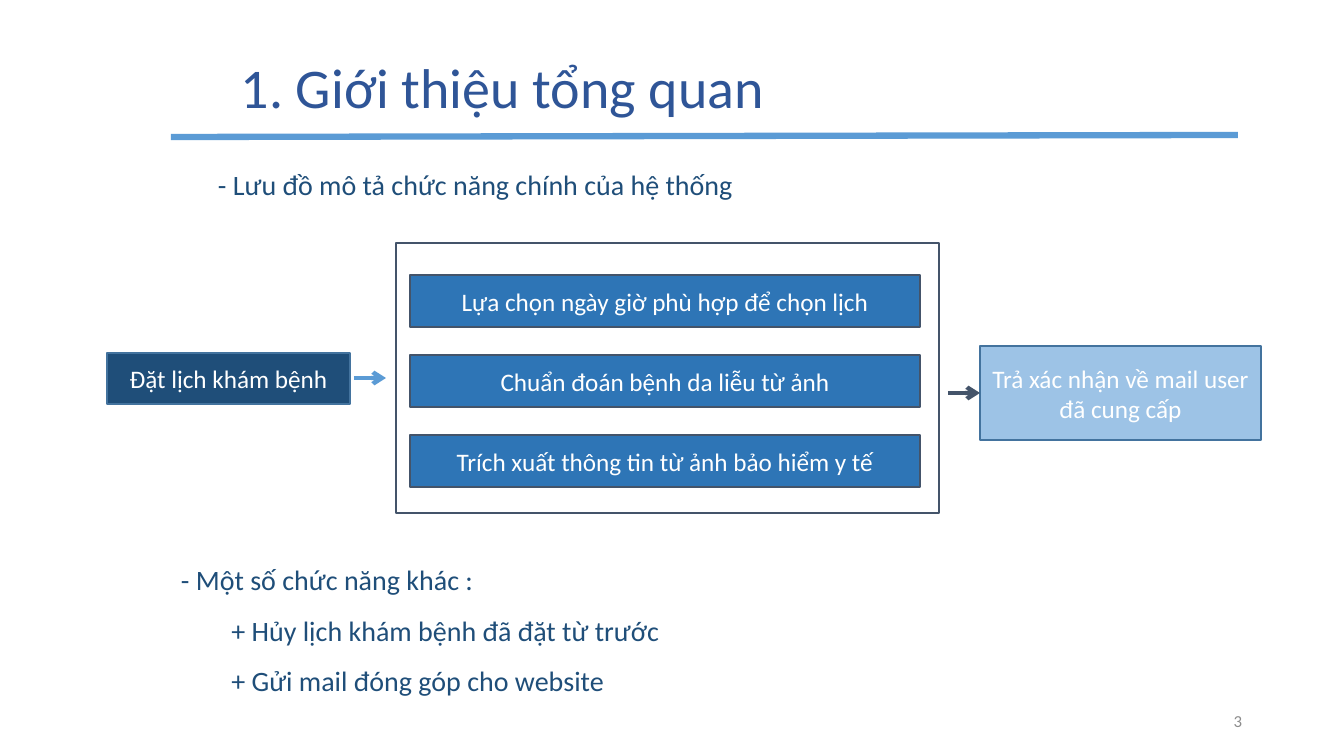
from lxml.etree import SubElement
from pptx import Presentation
from pptx.dml.color import RGBColor
from pptx.enum.shapes import MSO_CONNECTOR, MSO_SHAPE
from pptx.enum.text import MSO_ANCHOR, PP_ALIGN
from pptx.oxml.ns import qn
from pptx.util import Pt

PX = 914400 / 100.8
SLIDE_W, SLIDE_H = 1344, 756
LEFT_SIDE = 1
COLORS = {
    "title": "2F5597", "rule": "5B9BD5", "navy": "1F4E79", "step": "2E75B6",
    "result": "9DC3E6", "edge": "43739E", "slate": "44546A",
    "white": "FFFFFF", "gray": "8C8C8C",
}


def emu(*lengths):
    return [round(length * PX) for length in lengths]


def rgb(name):
    return RGBColor.from_string(COLORS[name])


def write(shape, lines, size=18, color="white", align=PP_ALIGN.LEFT,
          anchor=MSO_ANCHOR.MIDDLE, spacing=None):
    """Fill a shape with (text, level) lines in one format."""
    frame = shape.text_frame
    frame.word_wrap = True
    frame.vertical_anchor = anchor
    for i, (text, level) in enumerate(lines):
        paragraph = frame.add_paragraph() if i else frame.paragraphs[0]
        paragraph.level = level
        paragraph.alignment = align
        paragraph.line_spacing = spacing
        run = paragraph.add_run()
        run.text = text
        run.font.name = "Calibri"
        run.font.size = Pt(size)
        run.font.color.rgb = rgb(color)


def add_text(slide, box, lines, **text_format):
    write(slide.shapes.add_textbox(*emu(*box)), lines, **text_format)


def add_box(slide, box, text=None, fill=None, edge="slate", weight=1.5):
    shape = slide.shapes.add_shape(MSO_SHAPE.RECTANGLE, *emu(*box))
    shape.shadow.inherit = False
    if fill:
        shape.fill.solid()
        shape.fill.fore_color.rgb = rgb(fill)
    else:
        shape.fill.background()
    shape.line.color.rgb = rgb(edge)
    shape.line.width = Pt(weight)
    if text:
        write(shape, [(text, 0)], align=PP_ALIGN.CENTER)
    return shape


def add_line(slide, start, end, color, weight, arrow=False):
    line = slide.shapes.add_connector(MSO_CONNECTOR.STRAIGHT, *emu(*start, *end))
    line.line.color.rgb = rgb(color)
    line.line.width = Pt(weight)
    properties = line._element.spPr
    if arrow:
        SubElement(properties.find(qn("a:ln")), qn("a:tailEnd"), type="arrow")
    SubElement(properties, qn("a:effectLst"))
    return line


def heading(slide, x, y, w, h):
    add_text(slide, (x + 60, y, w - 47, h), [("1. Giới thiệu tổng quan", 0)],
             size=40, color="title", spacing=0.9)
    add_line(slide, (x, y + 120), (x + w, y + 118), "rule", 4.5)


def flowchart(slide, x, y, w, h):
    """Place request, framed steps and result from left to right."""
    add_box(slide, (x, y + 110, 243, 51), "Đặt lịch khám bệnh",
            fill="navy", edge="edge", weight=1)
    add_line(slide, (x + 247, y + 135), (x + 279, y + 135), "rule", 3, arrow=True)

    frame_x = x + 289
    add_box(slide, (frame_x, y, 543, h))
    steps = ["Lựa chọn ngày giờ phù hợp để chọn lịch",
             "Chuẩn đoán bệnh da liễu từ ảnh",
             "Trích xuất thông tin từ ảnh bảo hiểm y tế"]
    for i, step in enumerate(steps):
        add_box(slide, (frame_x + 14, y + 32 + 80 * i, 510, 52), step, fill="step")

    result_x, result_w, result_y, result_h = x + w - 281, 281, y + 103, 94
    result = add_box(slide, (result_x, result_y, result_w, result_h),
                     "Trả xác nhận về mail user đã cung cấp",
                     fill="result", edge="edge", weight=1)
    middle = result_y + result_h / 2
    arrow = add_line(slide, (result_x - 32, middle), (result_x, middle),
                     "slate", 3, arrow=True)
    arrow.end_connect(result, LEFT_SIDE)


def other_functions(slide, *box):
    add_text(slide, box,
             [("- Một số chức năng khác :", 0),
              ("+ Hủy lịch khám bệnh đã đặt từ trước", 1),
              ("+ Gửi mail đóng góp cho website", 1)],
             size=20, color="navy", anchor=MSO_ANCHOR.TOP, spacing=1.5)


def main():
    deck = Presentation()
    deck.slide_width, deck.slide_height = emu(SLIDE_W, SLIDE_H)
    slide = deck.slides.add_slide(deck.slide_layouts[6])
    heading(slide, 171, 17, 1067, 146)
    add_text(slide, (168, 163, 615, 57),
             [("- Lưu đồ mô tả chức năng chính của hệ thống", 0)],
             size=20, color="navy", align=PP_ALIGN.CENTER, anchor=MSO_ANCHOR.TOP)
    flowchart(slide, 107, 243, 1154, 270)
    other_functions(slide, 171, 541, 615, 148)
    add_text(slide, (950, 701, 302, 40), [("3", 0)],
             size=12, color="gray", align=PP_ALIGN.RIGHT)
    deck.save("out.pptx")


if __name__ == "__main__":
    main()
